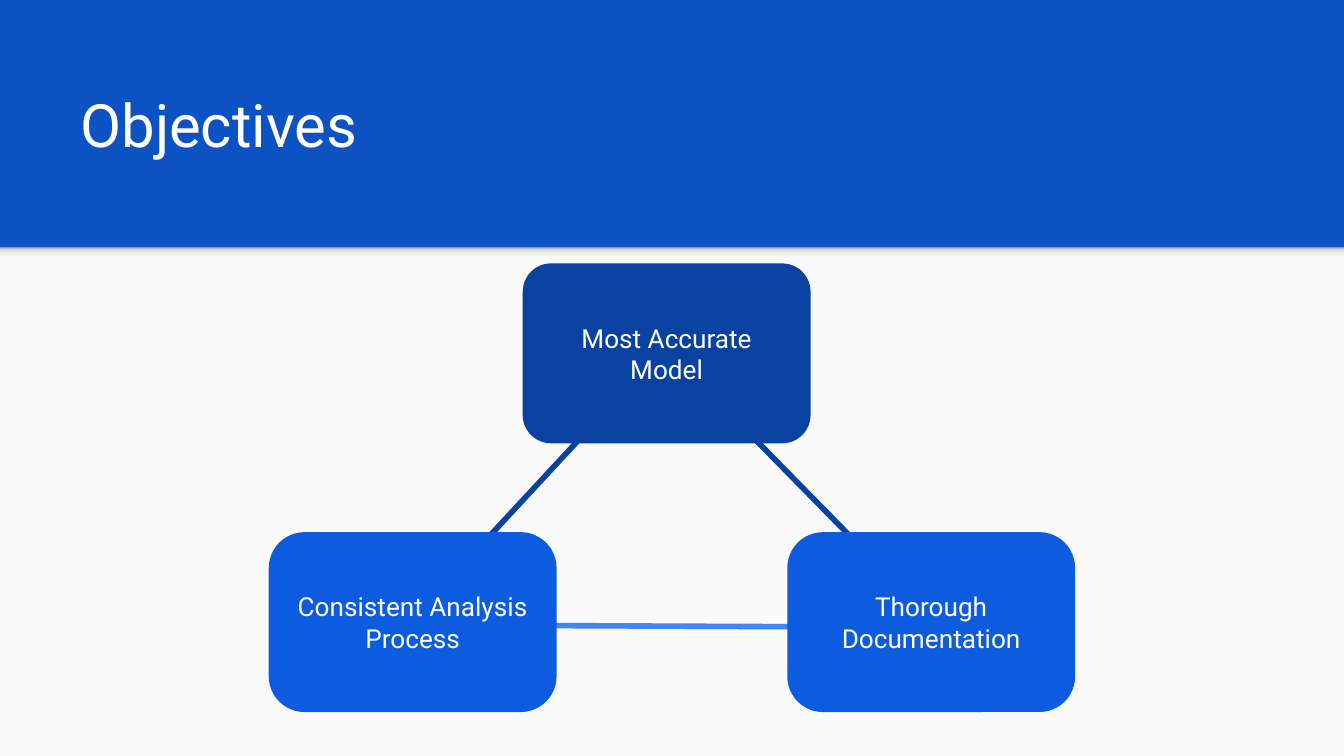
from dataclasses import dataclass

from lxml.etree import SubElement
from pptx import Presentation
from pptx.dml.color import RGBColor
from pptx.enum.shapes import MSO_CONNECTOR, MSO_SHAPE
from pptx.enum.text import MSO_ANCHOR, MSO_AUTO_SIZE, PP_ALIGN
from pptx.oxml.ns import qn
from pptx.shapes.autoshape import Shape
from pptx.slide import Slide
from pptx.text.text import TextFrame
from pptx.util import Cm, Pt


@dataclass(frozen=True)
class Theme:
    font: str = "Roboto"
    header: str = "0C52C3"
    panel: str = "FAFAFA"
    goal: str = "0942A1"
    support: str = "0D5CDF"
    link: str = "4285F4"
    text: str = "FFFFFF"
    shadow: tuple = ((0, "F9F9F9"), (36, "F9F9F9"), (80, "DEDEDE"), (100, "999999"))
    title_size: int = 32
    node_size: int = 14
    line_width: int = 3


@dataclass(frozen=True)
class Node:
    label: str
    left: float
    top: float
    color: str
    rounding: float


@dataclass(frozen=True)
class Link:
    start: tuple[float, float]
    end: tuple[float, float]
    color: str


THEME = Theme()
WIDTH, HEIGHT = 25.4, 14.29
HEADER_HEIGHT = 4.67
NODE_WIDTH, NODE_HEIGHT = 5.44, 3.4
LOWER_ROW = 10.06

LINKS = (
    Link((12.5, 6.63), (7.77, 11.73), THEME.goal),
    Link((12.55, 6.55), (17.63, 11.73), THEME.goal),
    Link((18.11, 11.86), (7.09, 11.81), THEME.link),
)
NODES = (
    Node("Most Accurate Model", 9.88, 4.98, THEME.goal, 0.157),
    Node("Thorough Documentation", 14.88, LOWER_ROW, THEME.support, 0.198),
    Node("Consistent Analysis Process", 5.08, LOWER_ROW, THEME.support, 0.199),
)


def write_text(frame: TextFrame, text: str, *, size: int, align: PP_ALIGN,
               anchor: MSO_ANCHOR) -> None:
    frame.word_wrap = True
    frame.auto_size = MSO_AUTO_SIZE.NONE
    frame.vertical_anchor = anchor
    frame.margin_left = frame.margin_right = Cm(0.25)
    frame.margin_top = frame.margin_bottom = Cm(0.25)
    para = frame.paragraphs[0]
    para.alignment = align
    span = para.add_run()
    span.text = text
    span.font.name = THEME.font
    span.font.size = Pt(size)
    span.font.color.rgb = RGBColor.from_string(THEME.text)


def add_box(page: Slide, kind: MSO_SHAPE, left: float, top: float,
            width: float, height: float, color: str) -> Shape:
    box = page.shapes.add_shape(kind, Cm(left), Cm(top), Cm(width), Cm(height))
    box.shadow.inherit = False
    box.fill.solid()
    box.fill.fore_color.rgb = RGBColor.from_string(color)
    box.line.fill.background()
    return box


def add_header_shadow(page: Slide) -> None:
    band = add_box(page, MSO_SHAPE.RECTANGLE, 0, HEADER_HEIGHT, WIDTH, 0.3, THEME.panel)
    band.fill.gradient()
    band.fill.gradient_angle = 90
    stops = band._element.spPr.find(f"{qn('a:gradFill')}/{qn('a:gsLst')}")
    for stop in list(stops):
        stops.remove(stop)
    for percent, color in THEME.shadow:
        stop = SubElement(stops, qn("a:gs"), pos=str(percent * 1000))
        SubElement(stop, qn("a:srgbClr"), val=color)


def add_link(page: Slide, link: Link) -> None:
    line = page.shapes.add_connector(
        MSO_CONNECTOR.STRAIGHT, *(Cm(value) for value in link.start + link.end))
    line.line.color.rgb = RGBColor.from_string(link.color)
    line.line.width = Pt(THEME.line_width)
    SubElement(line._element.spPr, qn("a:effectLst"))


def add_node(page: Slide, node: Node) -> None:
    box = add_box(page, MSO_SHAPE.ROUNDED_RECTANGLE, node.left, node.top,
                  NODE_WIDTH, NODE_HEIGHT, node.color)
    box.adjustments[0] = node.rounding
    write_text(box.text_frame, node.label, size=THEME.node_size,
               align=PP_ALIGN.CENTER, anchor=MSO_ANCHOR.MIDDLE)


def add_title(page: Slide, text: str) -> None:
    title = page.shapes.title
    title.left, title.top = Cm(1.27), Cm(1.14)
    title.width, title.height = Cm(22.83), Cm(2.13)
    write_text(title.text_frame, text, size=THEME.title_size,
               align=PP_ALIGN.LEFT, anchor=MSO_ANCHOR.BOTTOM)


def main() -> None:
    deck = Presentation()
    deck.slide_width, deck.slide_height = Cm(WIDTH), Cm(HEIGHT)
    page = deck.slides.add_slide(deck.slide_layouts.get_by_name("Title Only"))
    page.background.fill.solid()
    page.background.fill.fore_color.rgb = RGBColor.from_string(THEME.header)
    add_title(page, "Objectives")
    add_box(page, MSO_SHAPE.RECTANGLE, 0, HEADER_HEIGHT, WIDTH,
            HEIGHT - HEADER_HEIGHT, THEME.panel)
    add_header_shadow(page)
    for link in LINKS:
        add_link(page, link)
    for node in NODES:
        add_node(page, node)
    deck.save("out.pptx")


if __name__ == "__main__":
    main()
